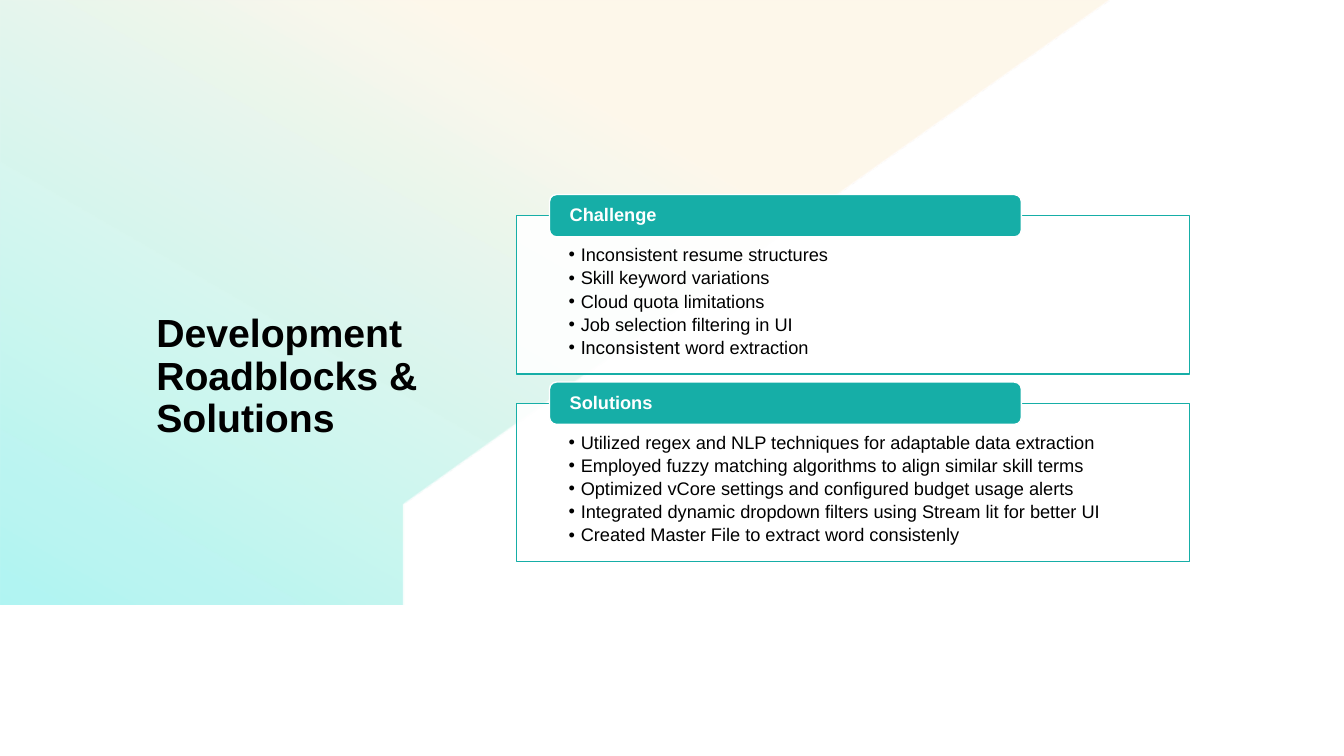
from dataclasses import dataclass

import lxml.etree
import pptx
import pptx.dml.color
import pptx.enum.shapes
import pptx.enum.text
import pptx.oxml.ns
import pptx.util
from pptx.util import Inches

TEAL = "16AEA7"
WHITE = "FFFFFF"
BLACK = "000000"
PANEL_LEFT, PANEL_TOP, PANEL_PITCH = 5.12, 2.14, 1.86
Point = tuple[float, float]


@dataclass(frozen=True)
class Bullet:
    text: str
    roboto_lead: str = ""


@dataclass(frozen=True)
class Panel:
    heading: str
    bullets: tuple[Bullet, ...]


PANELS = (
    Panel("Challenge", (
        Bullet("Inconsistent resume structures"),
        Bullet("Skill keyword variations"),
        Bullet("Cloud quota limitations"),
        Bullet("Job selection filtering in UI"),
        Bullet(" word extraction", roboto_lead="Inconsistent"),
    )),
    Panel("Solutions", (
        Bullet("Utilized regex and NLP techniques for adaptable data extraction"),
        Bullet("Employed fuzzy matching algorithms to align similar skill terms"),
        Bullet("Optimized vCore settings and configured budget usage alerts"),
        Bullet("Integrated dynamic dropdown filters using Stream lit for better UI"),
        Bullet("Created Master File to extract word consistenly"),
    )),
)


def color(value: str) -> pptx.dml.color.RGBColor:
    return pptx.dml.color.RGBColor.from_string(value)


def set_alpha(fill_element, percents: tuple[int, ...]) -> None:
    colors = fill_element.iter(pptx.oxml.ns.qn("a:srgbClr"))
    for color_element, percent in zip(colors, percents):
        alpha = lxml.etree.SubElement(color_element, pptx.oxml.ns.qn("a:alpha"))
        alpha.set("val", str(percent * 1000))


def place(shape, left: float, top: float, width: float, height: float) -> None:
    shape.left, shape.top = Inches(left), Inches(top)
    shape.width, shape.height = Inches(width), Inches(height)


def style_outline(shape, fill: str, line: str) -> None:
    shape.fill.solid()
    shape.fill.fore_color.rgb = color(fill)
    shape.line.color.rgb = color(line)
    shape.line.width = pptx.util.Pt(1)


def style_frame(text_frame, anchor, side: float, top: float, bottom: float) -> None:
    text_frame.word_wrap = True
    text_frame.auto_size = pptx.enum.text.MSO_AUTO_SIZE.NONE
    text_frame.vertical_anchor = anchor
    text_frame.margin_left = text_frame.margin_right = Inches(side)
    text_frame.margin_top, text_frame.margin_bottom = Inches(top), Inches(bottom)


def style_paragraph(paragraph, size: float, text_color: str, bold: bool, after: float = 0) -> None:
    paragraph.alignment = pptx.enum.text.PP_ALIGN.LEFT
    paragraph.line_spacing = 0.9
    paragraph.space_before = pptx.util.Pt(0)
    paragraph.space_after = pptx.util.Pt(after)
    paragraph.font.size = pptx.util.Pt(size)
    paragraph.font.bold = bold
    paragraph.font.name = "Arial"
    paragraph.font.color.rgb = color(text_color)


def curve(start: Point, first: Point, second: Point, end: Point, steps: int = 24) -> list[Point]:
    points = []
    for step in range(1, steps + 1):
        t = step / steps
        weights = ((1 - t) ** 3, 3 * t * (1 - t) ** 2, 3 * t * t * (1 - t), t ** 3)
        controls = (start, first, second, end)
        points.append((
            sum(weight * x for weight, (x, _) in zip(weights, controls)),
            sum(weight * y for weight, (_, y) in zip(weights, controls)),
        ))
    return points


def draw_backdrop(slide) -> None:
    bottom = (2.07, 6.07)
    outline = [
        *curve(bottom, (1.33, 6.05), (0.61, 5.83), (-0.01, 5.41)),
        (-0.02, 5.4), (-0.02, 0), (11.17, 0), (4.38, 5.32), (4.31, 5.38),
        *curve((4.31, 5.38), (3.69, 5.81), (2.99, 6.03), (2.29, 6.06)),
    ]
    builder = slide.shapes.build_freeform(*bottom, scale=float(Inches(1)))
    builder.add_line_segments(outline, close=True)
    backdrop = builder.convert_to_shape()
    backdrop.shadow.inherit = False
    backdrop.line.fill.background()
    backdrop.fill.gradient()
    backdrop.fill.gradient_angle = 240
    stops = ((0.32, "FEEFD9"), (1, "58EAE3"))
    for stop, (position, value) in zip(backdrop.fill.gradient_stops, stops):
        stop.position = position
        stop.color.rgb = color(value)
    set_alpha(backdrop.element.spPr, (52, 47))
    slide.shapes.element.insert(2, backdrop.element)


def draw_title(title) -> None:
    place(title, 1.45, 2.25, 3.3, 2.99)
    style_frame(title.text_frame, pptx.enum.text.MSO_ANCHOR.MIDDLE, 0.1, 0.05, 0.05)
    title.text_frame.text = "Development Roadblocks & Solutions"
    style_paragraph(title.text_frame.paragraphs[0], 28, BLACK, bold=True, after=6)


def draw_bullets(body, bullets: tuple[Bullet, ...]) -> None:
    text_frame = body.text_frame
    style_frame(text_frame, pptx.enum.text.MSO_ANCHOR.TOP, 0.52, 0.3, 0.1)
    for index, bullet in enumerate(bullets):
        paragraph = text_frame.add_paragraph() if index else text_frame.paragraphs[0]
        if bullet.roboto_lead:
            lead = paragraph.add_run()
            lead.text = bullet.roboto_lead
            lead.font.name = "Roboto"
        paragraph.add_run().text = bullet.text
        properties = paragraph._p.get_or_add_pPr()
        properties.set("marL", str(Inches(0.12)))
        properties.set("indent", str(-Inches(0.12)))
        style_paragraph(paragraph, 13, BLACK, bold=False, after=2.5)


def draw_panel(slide, body, panel: Panel, top: float) -> None:
    place(body, PANEL_LEFT, top, 6.68, 1.57)
    style_outline(body, WHITE, TEAL)
    set_alpha(body.element.spPr.find(pptx.oxml.ns.qn("a:solidFill")), (90,))
    draw_bullets(body, panel.bullets)

    tab = slide.shapes.add_shape(
        pptx.enum.shapes.MSO_SHAPE.ROUNDED_RECTANGLE,
        Inches(PANEL_LEFT + 0.33), Inches(top - 0.21), Inches(4.68), Inches(0.42),
    )
    tab.shadow.inherit = False
    style_outline(tab, TEAL, WHITE)
    style_frame(tab.text_frame, pptx.enum.text.MSO_ANCHOR.MIDDLE, 0.18, 0, 0)
    tab.text_frame.text = panel.heading
    style_paragraph(tab.text_frame.paragraphs[0], 13, WHITE, bold=True)


def main() -> None:
    presentation = pptx.Presentation()
    presentation.slide_width = Inches(13.33)
    presentation.slide_height = Inches(7.5)
    slide = presentation.slides.add_slide(presentation.slide_layouts.get_by_name("Two Content"))
    title, *bodies = slide.placeholders
    draw_backdrop(slide)
    draw_title(title)
    for index, (body, panel) in enumerate(zip(bodies, PANELS)):
        draw_panel(slide, body, panel, PANEL_TOP + index * PANEL_PITCH)
    presentation.save("out.pptx")


if __name__ == "__main__":
    main()
